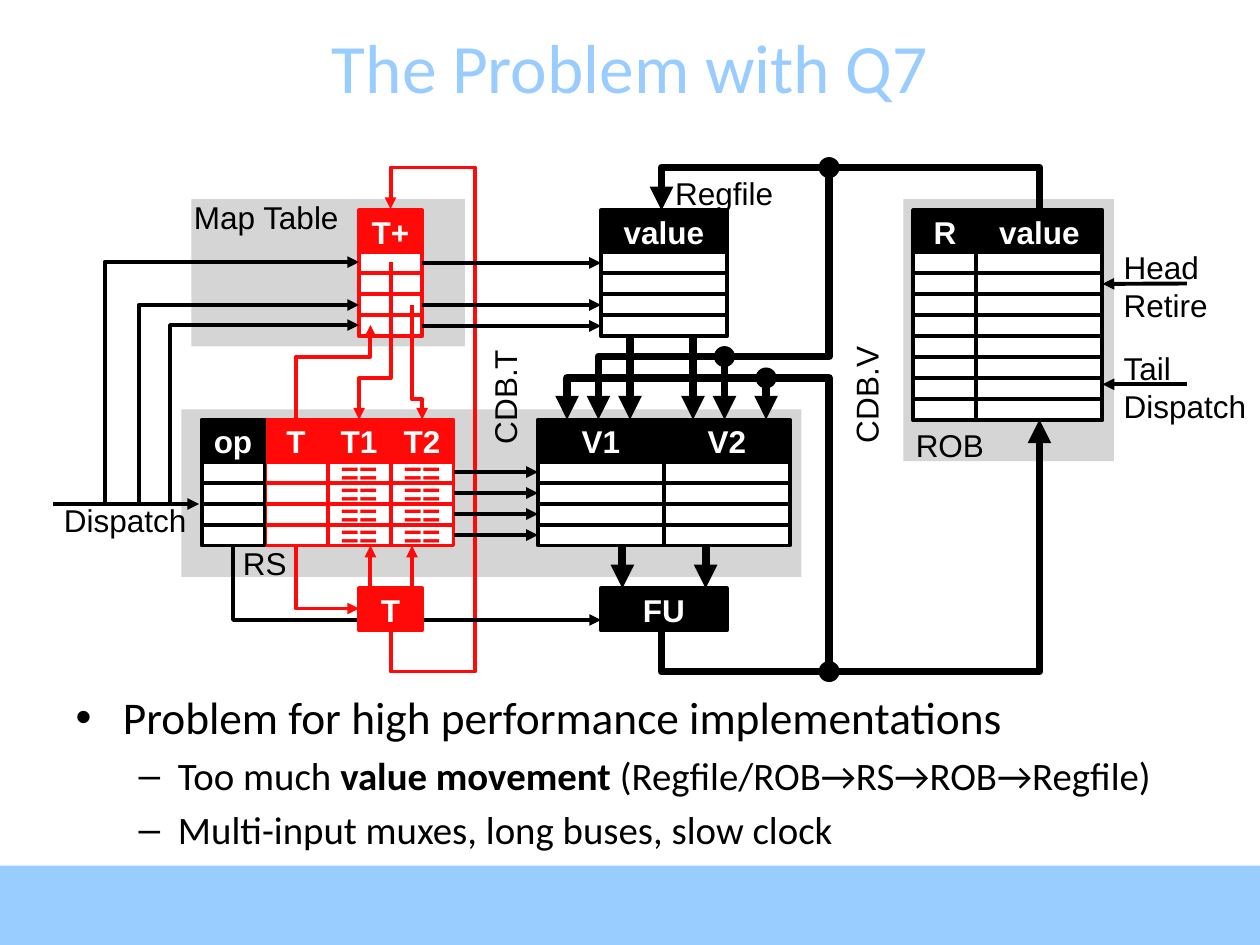
import dataclasses
import typing

import pptx
import pptx.dml.color
import pptx.enum.shapes
import pptx.enum.text
import pptx.oxml
import pptx.oxml.ns
import pptx.util

Inches = pptx.util.Inches
Shapes = pptx.enum.shapes.MSO_SHAPE
Point = tuple[float, float]

COLORS = {"black": "000000", "red": "FF0909", "white": "FFFFFF", "panel": "D5D5D5", "sky": "99CCFF"}
ROW = 1 / 6
HEADER = 2 * ROW
THIN, THICK = 2.25, 4.5
TOP_TABLES, LOWER_TABLES = 1.67, 3.33


@dataclasses.dataclass(frozen=True)
class Column:
    key: str
    title: str
    left: float
    top: float
    width: float
    rows: int
    color: str = "black"
    cell_text: str = ""


@dataclasses.dataclass(frozen=True)
class Wire:
    points: tuple[Point, ...]
    color: str = "black"
    width: float = THIN


@dataclasses.dataclass(frozen=True)
class Label:
    lines: tuple[str, ...]
    left: float
    top: float
    width: float
    height: float = 0.4
    rotation: int = 0


PANELS = [(7.17, 1.58, 1.67, 2.08), (1.52, 1.58, 2.17, 1.17), (1.44, 3.25, 4.92, 1.33)]

COLUMNS = [
    Column("regfile", "value", 4.77, TOP_TABLES, 1, 4),
    Column("V1", "V1", 4.27, LOWER_TABLES, 1, 4),
    Column("V2", "V2", 5.27, LOWER_TABLES, 1, 4),
    Column("map", "T+", 2.85, TOP_TABLES, 0.5, 4, "red"),
    Column("T2", "T2", 3.1, LOWER_TABLES, 0.5, 4, "red", "=="),
    Column("T1", "T1", 2.6, LOWER_TABLES, 0.5, 4, "red", "=="),
    Column("T", "T", 2.1, LOWER_TABLES, 0.5, 4, "red"),
    Column("op", "op", 1.6, LOWER_TABLES, 0.5, 4),
    Column("rob_register", "R", 7.25, TOP_TABLES, 0.5, 8),
    Column("rob_value", "value", 7.75, TOP_TABLES, 1, 8),
]

UNITS = [
    Column("FU", "FU", 4.77, 4.67, 1, 0),
    Column("tag", "T", 2.85, 4.67, 0.5, 0, "red"),
]

STRAIGHT_WIRES = [
    Wire(((5, 2.67), (5, 3.33)), width=THICK),
    Wire(((5.5, 2.67), (5.5, 3.33)), width=THICK),
    Wire(((5.75, 2.83), (5.75, 3.33)), width=THICK),
    Wire(((4.94, 4.33), (4.94, 4.67)), width=THICK),
    Wire(((5.6, 4.33), (5.6, 4.67)), width=THICK),
    Wire(((0.42, 4), (1.58, 4))),
    Wire(((9.42, 3.05), (8.75, 3.05))),
    Wire(((2.94, 4.67), (2.94, 4.33)), "red"),
    Wire(((3.27, 4.67), (3.27, 4.33)), "red"),
]

BENT_WIRES = [
    Wire(((6.08, 3), (4.5, 3), (4.5, 3.33)), width=THICK),
    Wire(((3.1, 4.99), (3.1, 5.33), (3.77, 5.33), (3.77, 1.33), (3.1, 1.33), (3.1, 1.66)), "red"),
    Wire(((2.35, 4.33), (2.35, 4.83), (2.85, 4.83)), "red"),
    Wire(((0.83, 4), (0.83, 2.08), (2.85, 2.08))),
    Wire(((1.1, 4), (1.1, 2.42), (2.85, 2.42))),
    Wire(((1.35, 4), (1.35, 2.58), (2.85, 2.58))),
    Wire(((2.35, 3.33), (2.35, 2.83), (2.94, 2.83), (2.94, 2.58)), "red"),
    Wire(((3.1, 2.08), (3.1, 3), (2.85, 3), (2.85, 3.33)), "red"),
    Wire(((3.27, 2.42), (3.27, 3.17), (3.35, 3.17), (3.35, 3.33)), "red"),
    Wire(((1.85, 4.33), (1.85, 4.92), (4.77, 4.92))),
    Wire(((8.25, 1.67), (8.25, 1.33), (5.25, 1.33), (5.25, 1.67)), width=THICK),
    Wire(((6.58, 5.33), (8.25, 5.33), (8.25, 3.33)), width=THICK),
    Wire(((6.58, 1.33), (6.58, 2.83), (4.75, 2.83), (4.75, 3.33)), width=THICK),
    Wire(((5.25, 5), (5.25, 5.33), (6.58, 5.33), (6.58, 3), (6.08, 3), (6.08, 3.33)), width=THICK),
]

JUNCTIONS = [(6.08, 3), (6.58, 5.33), (5.75, 2.83), (6.58, 1.33)]

LABELS = [
    Label(("Map Table",), 1.44, 1.52, 1.38),
    Label(("RS",), 1.83, 4.27, 0.55),
    Label(("CDB.V",), 6.39, 2.93, 0.97, rotation=270),
    Label(("CDB.T",), 3.53, 2.95, 0.95, rotation=270),
    Label(("Dispatch",), 0.41, 3.93, 1.17),
    Label(("Regfile",), 5.26, 1.33, 0.98),
    Label(("ROB",), 7.17, 3.33, 0.74),
    Label(("Head", "Retire"), 8.82, 1.92, 0.87, 0.7),
    Label(("Tail", "Dispatch"), 8.82, 2.72, 1.17, 0.7),
]

BULLETS = [
    (0, 25.9, [("Problem for high performance implementations", False)]),
    (1, 22.2, [("Too much ", False), ("value movement", True), (" (Regfile/ROB→RS→ROB→Regfile)", False)]),
    (1, 22.2, [("Multi-input muxes, long buses, slow clock", False)]),
]


def rgb(color: str) -> pptx.dml.color.RGBColor:
    return pptx.dml.color.RGBColor.from_string(COLORS[color])


def add_run(paragraph: typing.Any, text: str, size: float, color: str, font: str = "Arial", bold: bool = False) -> None:
    run = paragraph.add_run()
    run.text = text
    run.font.name, run.font.size, run.font.bold = font, pptx.util.Pt(size), bold
    run.font.color.rgb = rgb(color)


def place(shape: typing.Any, *box: float) -> None:
    shape.left, shape.top, shape.width, shape.height = map(Inches, box)


def add_solid(slide: typing.Any, kind: Shapes, box: tuple, fill: str, outline: str = "") -> typing.Any:
    shape = slide.shapes.add_shape(kind, *map(Inches, box))
    shape.shadow.inherit = False
    shape.fill.solid()
    shape.fill.fore_color.rgb = rgb(fill)
    if outline:
        shape.line.color.rgb = rgb(outline)
        shape.line.width = pptx.util.Pt(THIN)
    else:
        shape.line.fill.background()
    return shape


def add_cell(slide: typing.Any, box: tuple, fill: str, outline: str, text: str, color: str) -> typing.Any:
    shape = add_solid(slide, Shapes.RECTANGLE, box, fill, outline)
    if text:
        frame = shape.text_frame
        frame.word_wrap = False
        frame.vertical_anchor = pptx.enum.text.MSO_ANCHOR.MIDDLE
        frame.paragraphs[0].alignment = pptx.enum.text.PP_ALIGN.CENTER
        add_run(frame.paragraphs[0], text, 18, color, bold=True)
    return shape


def add_column(slide: typing.Any, column: Column) -> list:
    add_cell(slide, (column.left, column.top, column.width, HEADER), column.color, column.color, column.title, "white")
    first = column.top + HEADER
    return [
        add_cell(slide, (column.left, first + row * ROW, column.width, ROW), "white", column.color, column.cell_text, column.color)
        for row in range(column.rows)
    ]


def style_wire(shape: typing.Any, wire: Wire) -> None:
    shape.line.color.rgb = rgb(wire.color)
    shape.line.width = pptx.util.Pt(wire.width)
    properties = shape.element.spPr
    arrow = pptx.oxml.parse_xml(f'<a:tailEnd {pptx.oxml.ns.nsdecls("a")} type="triangle"/>')
    properties.find(pptx.oxml.ns.qn("a:ln")).append(arrow)
    properties.append(pptx.oxml.parse_xml(f'<a:effectLst {pptx.oxml.ns.nsdecls("a")}/>'))


def add_straight(slide: typing.Any, wire: Wire) -> typing.Any:
    ends = [Inches(value) for point in wire.points for value in point]
    connector = slide.shapes.add_connector(pptx.enum.shapes.MSO_CONNECTOR.STRAIGHT, *ends)
    style_wire(connector, wire)
    return connector


def add_bent(slide: typing.Any, wire: Wire) -> None:
    start, *rest = [(Inches(x), Inches(y)) for x, y in wire.points]
    builder = slide.shapes.build_freeform(*start)
    builder.add_line_segments(rest, close=False)
    shape = builder.convert_to_shape()
    shape.fill.background()
    style_wire(shape, wire)


def join_rows(slide: typing.Any, source: typing.Any, target: typing.Any) -> None:
    connector = add_straight(slide, Wire(((0, 0), (1, 0))))
    connector.begin_connect(source, 3)
    connector.end_connect(target, 1)


def add_label(slide: typing.Any, label: Label) -> None:
    box = slide.shapes.add_textbox(*map(Inches, (label.left, label.top, label.width, label.height)))
    box.rotation = label.rotation
    frame = box.text_frame
    frame.word_wrap = False
    frame.auto_size = pptx.enum.text.MSO_AUTO_SIZE.SHAPE_TO_FIT_TEXT
    for index, line in enumerate(label.lines):
        paragraph = frame.add_paragraph() if index else frame.paragraphs[0]
        add_run(paragraph, line, 18, "black")


def fill_placeholders(slide: typing.Any) -> None:
    title, body = slide.shapes.title, slide.placeholders[1]
    place(title, 0, 0.21, 10, 0.63)
    place(body, 0.5, 5.42, 9, 1.48)
    for placeholder in (title, body):
        placeholder.text_frame.auto_size = pptx.enum.text.MSO_AUTO_SIZE.NONE
    add_run(title.text_frame.paragraphs[0], "The Problem with Q7", 39.6, "sky", "Calibri")
    for index, (level, size, runs) in enumerate(BULLETS):
        paragraph = body.text_frame.add_paragraph() if index else body.text_frame.paragraphs[0]
        paragraph.level = level
        if not index:
            paragraph.space_before = pptx.util.Pt(0)
        for text, bold in runs:
            add_run(paragraph, text, size, "black", "Calibri", bold)


def main() -> None:
    presentation = pptx.Presentation()
    presentation.slide_width, presentation.slide_height = Inches(10), Inches(7.5)
    slide = presentation.slides.add_slide(presentation.slide_layouts[1])
    footer = add_solid(slide, Shapes.RECTANGLE, (0, 6.87, 10, 0.63), "sky")
    slide.shapes.title.element.addprevious(footer.element)
    fill_placeholders(slide)
    for panel in PANELS:
        add_solid(slide, Shapes.RECTANGLE, panel, "panel")
    cells = {column.key: add_column(slide, column) for column in COLUMNS}
    for wire in STRAIGHT_WIRES:
        add_straight(slide, wire)
    for wire in BENT_WIRES:
        add_bent(slide, wire)
    for row in (0, 2, 3):
        join_rows(slide, cells["map"][row], cells["regfile"][row])
    for source, target in zip(cells["T2"], cells["V1"]):
        join_rows(slide, source, target)
    head = add_straight(slide, Wire(((9.42, 2.25), (8.75, 2.25))))
    head.end_connect(cells["rob_value"][1], 3)
    for unit in UNITS:
        add_column(slide, unit)
    for x, y in JUNCTIONS:
        add_solid(slide, Shapes.FLOWCHART_CONNECTOR, (x - ROW / 2, y - ROW / 2, ROW, ROW), "black")
    for label in LABELS:
        add_label(slide, label)
    presentation.save("out.pptx")


if __name__ == "__main__":
    main()
